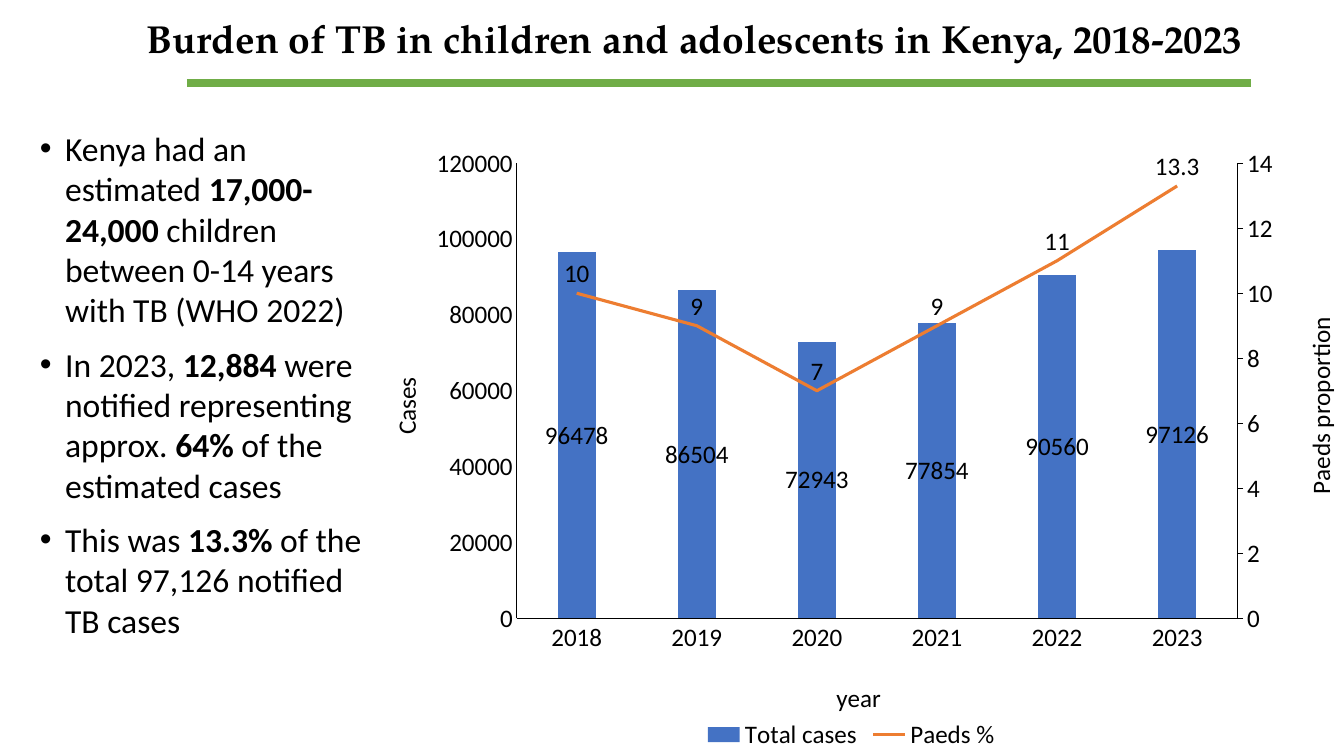
from copy import deepcopy

from lxml import etree
from pptx import Presentation
from pptx.chart.data import CategoryChartData
from pptx.dml.color import RGBColor
from pptx.enum.chart import XL_CHART_TYPE, XL_LABEL_POSITION, XL_LEGEND_POSITION, XL_MARKER_STYLE, XL_TICK_MARK
from pptx.enum.shapes import MSO_CONNECTOR
from pptx.enum.text import MSO_ANCHOR, PP_ALIGN
from pptx.oxml import parse_xml
from pptx.oxml.ns import nsdecls, qn
from pptx.util import Pt

PX = 914400 / 100.8
BLACK = RGBColor(0x00, 0x00, 0x00)
GREEN = RGBColor(0x70, 0xAD, 0x47)
BLUE = RGBColor(0x44, 0x72, 0xC4)
ORANGE = RGBColor(0xED, 0x7D, 0x31)
BODY_FONT = "Calibri"
CLUSTERED = XL_CHART_TYPE.COLUMN_CLUSTERED
NO_TICK = XL_TICK_MARK.NONE
CENTER = PP_ALIGN.CENTER
TOP, MIDDLE = MSO_ANCHOR.TOP, MSO_ANCHOR.MIDDLE


def add_text(box, paragraphs, size, font=BODY_FONT, bold=False, align=None,
             anchor=TOP, spacing=None, bullet=False):
    """Fill a text box; each paragraph alternates plain and emphasised spans."""
    frame = box.text_frame
    frame.word_wrap = True
    frame.vertical_anchor = anchor
    for index, spans in enumerate(paragraphs):
        para = frame.paragraphs[0] if index == 0 else frame.add_paragraph()
        para.alignment = align
        para.line_spacing = spacing
        if index:
            para.space_before = Pt(10)
        if bullet:
            props = para._p.get_or_add_pPr()
            props.set("marL", "228600")
            props.set("indent", "-228600")
            etree.SubElement(props, qn("a:buFont")).set("typeface", "Arial")
            etree.SubElement(props, qn("a:buChar")).set("char", "•")
        for position, text in enumerate(spans):
            span = para.add_run()
            span.text = text
            span.font.name = font
            span.font.size = Pt(size)
            span.font.bold = bold or position % 2 == 1
            span.font.color.rgb = BLACK


def place(parent, x, y, inner_size=""):
    """Give a chart part a fixed position, as fractions of the chart."""
    for old in parent.findall(qn("c:layout")):
        parent.remove(old)
    target = '<c:layoutTarget val="inner"/>' if inner_size else ""
    layout = parse_xml(
        f'<c:layout {nsdecls("c")}><c:manualLayout>{target}'
        f'<c:xMode val="edge"/><c:yMode val="edge"/><c:x val="{x}"/><c:y val="{y}"/>'
        f'{inner_size}</c:manualLayout></c:layout>')
    heading = parent.find(qn("c:tx"))
    parent.insert(0 if heading is None else 1, layout)


deck = Presentation()
deck.slide_width = round(1344 * PX)
deck.slide_height = round(756 * PX)
page = deck.slides.add_slide(deck.slide_layouts[6])

# Heading and rule
title = page.shapes.add_textbox(*(round(v * PX) for v in (115, 3, 1159, 82)))
add_text(title, [["Burden of TB in children and adolescents in Kenya, 2018-2023"]],
         27.9, font="TeX Gyre Pagella", bold=True, align=CENTER, anchor=MIDDLE, spacing=0.7)
rule = page.shapes.add_connector(MSO_CONNECTOR.STRAIGHT, *(round(v * PX) for v in (187, 83, 1251, 83)))
rule.line.color.rgb = GREEN
rule.line.width = Pt(6)
etree.SubElement(rule._element.spPr, qn("a:effectLst"))

# Chart
data = CategoryChartData()
data.categories = [str(year) for year in range(2018, 2024)]
data.add_series("Total cases", [96478, 86504, 72943, 77854, 90560, 97126])
data.add_series("Paeds %", [10, 9, 7, 9, 11, 13.3])
chart = page.shapes.add_chart(CLUSTERED, *(round(v * PX) for v in (365, 148, 979, 607)), data).chart
chart.has_title = False
chart.font.name = BODY_FONT
chart.font.size = Pt(18)
chart.font.color.rgb = BLACK
chart.has_legend = True
chart.legend.position = XL_LEGEND_POSITION.BOTTOM
chart.legend.include_in_layout = False

bars = chart.plots[0]
bars.gap_width = 219
bars.overlap = -27
bars.vary_by_categories = False

plot_area = chart.element.find(".//" + qn("c:plotArea"))
year_axis = plot_area.find(qn("c:catAx"))
case_axis = plot_area.find(qn("c:valAx"))
for axis, name in ((chart.category_axis, "year"), (chart.value_axis, "Cases")):
    axis.has_major_gridlines = False
    axis.major_tick_mark = NO_TICK
    axis.minor_tick_mark = NO_TICK
    axis.format.line.color.rgb = BLACK
    axis.format.line.width = Pt(0.75)
    axis.axis_title.text_frame.text = name
    span = axis.axis_title.text_frame.paragraphs[0].runs[0]
    span.font.name = BODY_FONT
    span.font.size = Pt(18)
    span.font.bold = False
    span.font.color.rgb = BLACK
chart.value_axis.minimum_scale = 0
chart.value_axis.maximum_scale = 120000
chart.value_axis.major_unit = 20000
case_axis.find(".//" + qn("c:rich")).find(qn("a:bodyPr")).set("rot", "-5400000")

# Right-hand axis for the proportion line
right_axis = deepcopy(case_axis)
hidden_axis = deepcopy(year_axis)
hidden_axis.remove(hidden_axis.find(qn("c:title")))
case_axis.addnext(right_axis)
right_axis.addnext(hidden_axis)
for axis, settings in (
        (right_axis, {"axId": 5002, "crossAx": 5001, "axPos": "r", "crosses": "max",
                      "majorTickMark": "out", "majorUnit": 2, "scaling/c:max": 14}),
        (hidden_axis, {"axId": 5001, "crossAx": 5002, "delete": 1})):
    for tag, value in settings.items():
        for setting in axis.xpath("c:" + tag):
            setting.set("val", str(value))
# An omitted tick mark element means "cross", so the outward one is always explicit
right_axis.find(".//" + qn("a:t")).text = "Paeds proportion"

bar_chart = plot_area.find(qn("c:barChart"))
line_chart = parse_xml(
    f'<c:lineChart {nsdecls("c")}><c:grouping val="standard"/><c:varyColors val="0"/>'
    '<c:marker val="1"/><c:axId val="5001"/><c:axId val="5002"/></c:lineChart>')
line_series = bar_chart.findall(qn("c:ser"))[1]
for bar_only in line_series.findall(qn("c:invertIfNegative")):
    line_series.remove(bar_only)
line_chart.insert(2, line_series)
bar_chart.addnext(line_chart)

place(plot_area, 0.156, 0.025, '<c:w val="0.741"/><c:h val="0.75"/>')
for axis, x, y in ((year_axis, 0.48, 0.87), (case_axis, 0.02, 0.37), (right_axis, 0.96, 0.27)):
    place(axis.find(qn("c:title")), x, y)

cases = bars.series[0]
cases.invert_if_negative = False
cases.format.fill.solid()
cases.format.fill.fore_color.rgb = BLUE
share = chart.plots[1].series[0]
share.smooth = False
share.marker.style = XL_MARKER_STYLE.NONE
share.format.line.color.rgb = ORANGE
share.format.line.width = Pt(2.25)
for series, position in ((cases, XL_LABEL_POSITION.CENTER), (share, XL_LABEL_POSITION.ABOVE)):
    labels = series.data_labels
    labels.show_value = True
    labels.position = position
    labels.font.name = BODY_FONT
    labels.font.size = Pt(18)
    labels.font.color.rgb = BLACK

# Key points
points = page.shapes.add_textbox(*(round(v * PX) for v in (30, 123, 354, 596)))
add_text(points, [
    ["Kenya had an estimated ", "17,000- 24,000 ", "children between 0-14 years with TB (WHO 2022)"],
    ["In 2023,", " 12,884 ", "were notified representing approx. ", "64%", " of the estimated cases"],
    ["This was ", "13.3% ", "of the total 97,126 notified TB cases"],
], 24, bullet=True)

deck.save("out.pptx")
